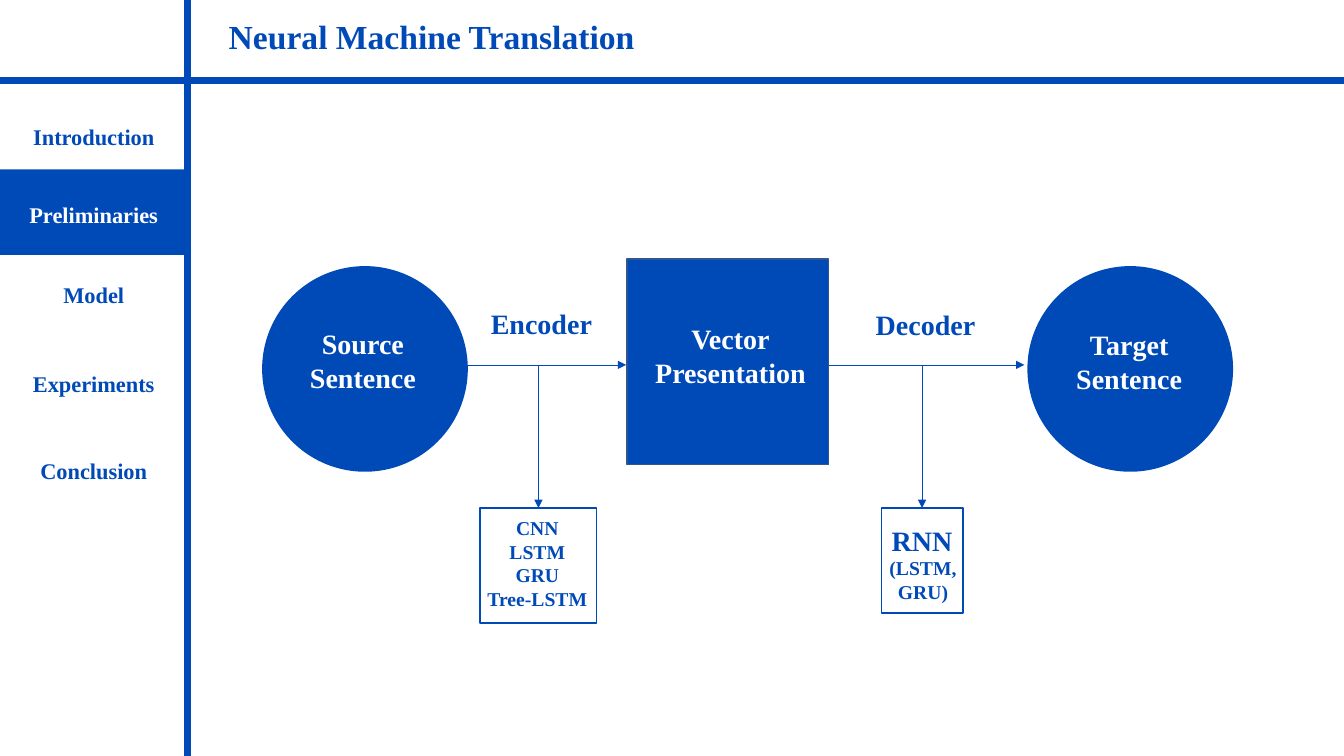
import pptx
import pptx.util
import pptx.dml.color
import pptx.enum.shapes
import pptx.enum.text
import pptx.oxml.ns
import lxml.etree

Inches = pptx.util.Inches
Pt = pptx.util.Pt
Shape = pptx.enum.shapes.MSO_SHAPE
Align = pptx.enum.text.PP_ALIGN

BLUE = pptx.dml.color.RGBColor(0x00, 0x4A, 0xB8)
EDGE = pptx.dml.color.RGBColor(0x32, 0x54, 0x91)
WHITE = pptx.dml.color.RGBColor(0xFF, 0xFF, 0xFF)


class Board:
    font_format = {"name": "Times New Roman", "bold": True}
    frame_format = {
        "word_wrap": False,
        "auto_size": pptx.enum.text.MSO_AUTO_SIZE.SHAPE_TO_FIT_TEXT,
    }

    def __init__(self, slide):
        self.slide = slide

    def apply(self, target, values):
        for key, value in values.items():
            setattr(target, key, value)

    def shape(self, kind, left, top, width, height, fill=BLUE, edge=None):
        item = self.slide.shapes.add_shape(
            kind, Inches(left), Inches(top), Inches(width), Inches(height))
        item.shadow.inherit = False
        if fill is None:
            item.fill.background()
        else:
            item.fill.solid()
            item.fill.fore_color.rgb = fill
        if edge is None:
            item.line.fill.background()
        else:
            item.line.color.rgb = edge
            item.line.width = Pt(1)
        return item

    def text(self, words, left, top, width, height, size=20, color=BLUE, align=Align.CENTER):
        frame = self.slide.shapes.add_textbox(
            Inches(left), Inches(top), Inches(width), Inches(height)).text_frame
        self.apply(frame, self.frame_format)
        frame.text = words
        for paragraph in frame.paragraphs:
            paragraph.alignment = align
            for run in paragraph.runs:
                self.apply(run.font, {**self.font_format, "size": Pt(size)})
                run.font.color.rgb = color

    def line(self, x1, y1, x2, y2, width=0.5, arrow=True):
        item = self.slide.shapes.add_connector(
            pptx.enum.shapes.MSO_CONNECTOR.STRAIGHT,
            Inches(x1), Inches(y1), Inches(x2), Inches(y2))
        item.line.color.rgb = BLUE
        item.line.width = Pt(width)
        qn = pptx.oxml.ns.qn
        if arrow:
            lxml.etree.SubElement(item.line._get_or_add_ln(), qn("a:tailEnd"), type="triangle")
        lxml.etree.SubElement(item._element.spPr, qn("a:effectLst"))
        return item

    def branch(self, left, width, height):
        models = self.shape(Shape.RECTANGLE, left, BOX_TOP, width, height, None, BLUE)
        middle = left + width / 2
        self.line(middle, FLOW_Y, middle, BOX_TOP).end_connect(models, 0)


FLOW_Y = 3.62
BOX_TOP = 5.04
SIDEBAR = 1.86


def main():
    deck = pptx.Presentation()
    deck.slide_width, deck.slide_height = Inches(13.33), Inches(7.5)
    board = Board(deck.slides.add_slide(deck.slide_layouts[6]))

    board.shape(Shape.RECTANGLE, 0, 1.68, SIDEBAR, 0.85)
    sections = [
        ("Introduction", 1.17, 1.42, BLUE),
        ("Preliminaries", 1.95, 1.5, WHITE),
        ("Model", 2.74, 0.81, BLUE),
        ("Experiments", 3.62, 1.43, BLUE),
        ("Conclusion", 4.49, 1.27, BLUE),
    ]
    for section, top, width, color in sections:
        board.text(section, (SIDEBAR - width) / 2, top, width, 0.37, 16, color)
    board.text("Neural Machine Translation", 2.17, 0.11, 4.26, 0.5, 24, align=Align.LEFT)

    for sentence, left, text_left, text_top in [
        ("Source\nSentence", 2.6, 2.97, 3.19),
        ("Target\nSentence", 10.19, 10.57, 3.2),
    ]:
        board.shape(Shape.OVAL, left, 2.64, 2.04, 2.04)
        board.text(sentence, text_left, text_top, 1.26, 0.77, color=WHITE)

    for stage, left, top, width, start, end in [
        ("Encoder", 4.76, 2.99, 1.22, 4.23, 6.21),
        ("Decoder", 8.58, 3, 1.2, 7.87, 10.16),
    ]:
        board.line(start, FLOW_Y, end, FLOW_Y)
        board.text(stage, left, top, width, 0.44)

    board.shape(Shape.RECTANGLE, 6.22, 2.57, 2, 2.04, edge=EDGE)
    board.text("Vector\nPresentation", 6.39, 3.14, 1.71, 0.77, color=WHITE)

    board.branch(4.76, 1.16, 1.14)
    board.text("CNN\nLSTM\nGRU\nTree-LSTM", 4.73, 5.07, 1.2, 1.04, 14)
    board.branch(8.74, 0.81, 1.04)
    board.text("RNN", 8.74, 5.14, 0.81, 0.44)
    board.text("(LSTM,\nGRU)", 8.72, 5.47, 0.87, 0.57, 14)

    board.line(SIDEBAR, 0, SIDEBAR, 7.5, 5, False)
    board.line(0, 0.8, 13.33, 0.8, 5, False)
    deck.save("out.pptx")


if __name__ == "__main__":
    main()
